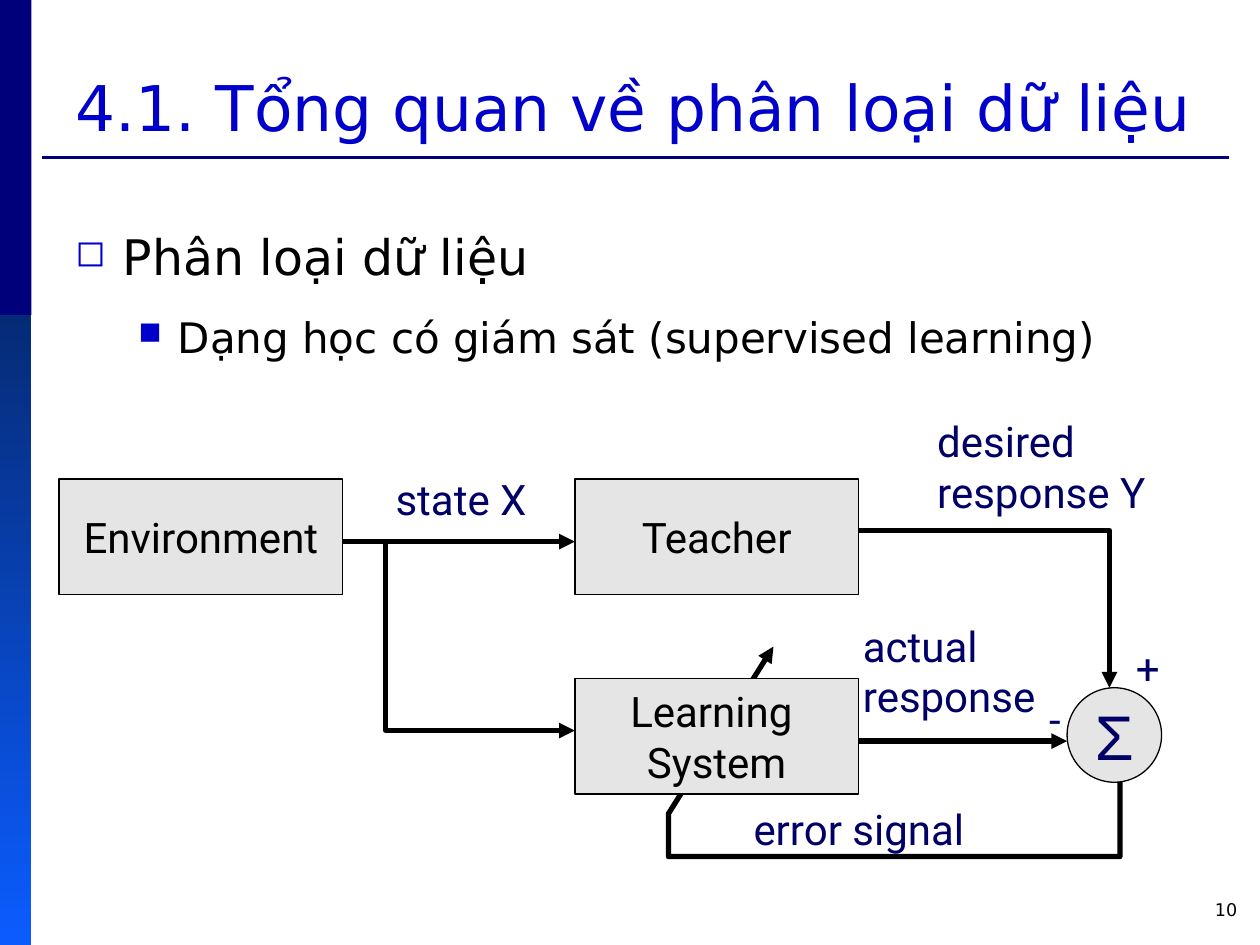
"""Build a slide showing supervised learning as a feedback diagram."""
from lxml import etree
from pptx import Presentation
from pptx.dml.color import RGBColor
from pptx.enum import shapes, text
from pptx.oxml.ns import qn
from pptx.util import Pt

NAVY = RGBColor(0x00, 0x00, 0x7A)
DEEP = RGBColor(0x05, 0x2B, 0x76)
BRIGHT = RGBColor(0x0B, 0x5C, 0xFF)
BLUE = RGBColor(0x00, 0x00, 0xCA)
LABEL = RGBColor(0x00, 0x00, 0x66)
GRAY = RGBColor(0xE5, 0xE5, 0xE5)
BLACK = RGBColor(0, 0, 0)
SANS, ROBOTO, ARIAL = "DejaVu Sans", "Roboto", "Arial"
RECT, OVAL = shapes.MSO_SHAPE.RECTANGLE, shapes.MSO_SHAPE.OVAL
LEFT, CENTER, RIGHT = text.PP_ALIGN.LEFT, text.PP_ALIGN.CENTER, text.PP_ALIGN.RIGHT

TITLE = "4.1. Tổng quan về phân loại dữ liệu"
BULLETS = [
    ("Phân loại dữ liệu", 28, "◻", 27, 27, 0),
    ("Dạng học có giám sát (supervised learning)", 24, "■", 58.5, 22.5, 15),
]
BOX_W, BOX_H = 162, 66
ENV_X, SYSTEM_X, TOP_Y, LOW_Y = 33.75, 328.5, 273.75, 387.75
ENV_R, SYSTEM_R = ENV_X + BOX_W, SYSTEM_X + BOX_W
SUM_X, SUM_Y, SUM_D = 609.75, 393, 54
STATE_Y, ACTUAL_Y, BRANCH_X = 309.5, 423.5, 220.5
NODES = [
    (RECT, ENV_X, TOP_Y, BOX_W, BOX_H, ["Environment"], 24, ROBOTO, BLACK),
    (RECT, SYSTEM_X, TOP_Y, BOX_W, BOX_H, ["Teacher"], 24, ROBOTO, BLACK),
    (RECT, SYSTEM_X, LOW_Y, BOX_W, BOX_H, ["Learning ", "System"], 24, ROBOTO, BLACK),
    (OVAL, SUM_X, SUM_Y, SUM_D, SUM_D, ["Σ"], 36, ARIAL, LABEL),
]
LABELS = [
    (["state X"], 219, 267, 91),
    (["desired", "response Y"], 528.5, 234, 138),
    (["actual", "response"], 486, 351, 118),
    (["error signal"], 423.5, 455.75, 145.5),
    (["+"], 642, 363.75, 28),
    (["-"], 592.5, 393, 22.5),
]
ERROR_PATH = [(640, 447), (640, 489.5), (382, 489.5), (382, 465), (442, 369.5)]
BRANCH_PATH = [(BRANCH_X, STATE_Y), (BRANCH_X, 417.5), (SYSTEM_X, 417.5)]
DESIRED_PATH = [(SYSTEM_R, 303.25), (634, 303.25), (634, SUM_Y)]
STATE_LINE = [(ENV_R, STATE_Y), (SYSTEM_X, STATE_Y)]
ACTUAL_LINE = [(SYSTEM_R, ACTUAL_Y), (SUM_X, ACTUAL_Y)]


def add_run(p, words, size, font, color):
    r = p.add_run()
    r.text = words
    r.font.size, r.font.name = Pt(size), font
    r.font.color.rgb = color


def write(tf, lines, size, font, color, align=LEFT):
    for i, line in enumerate(lines):
        p = tf.add_paragraph() if i else tf.paragraphs[0]
        p.alignment = align
        add_run(p, line, size, font, color)


def add_text(s, lines, x, y, w, h, size, font, color, align=LEFT):
    sp = s.shapes.add_textbox(Pt(x), Pt(y), Pt(w), Pt(h))
    sp.text_frame.word_wrap = False
    write(sp.text_frame, lines, size, font, color, align)


def add_shape(s, kind, x, y, w, h):
    sp = s.shapes.add_shape(kind, Pt(x), Pt(y), Pt(w), Pt(h))
    sp.shadow.inherit = False
    return sp


def style_line(sp, color, width, arrow=False):
    sp.line.color.rgb, sp.line.width = color, Pt(width)
    if arrow:
        ln = sp._element.spPr.find(qn("a:ln"))
        etree.SubElement(ln, qn("a:tailEnd"), type="triangle")


def add_line(s, points, color, width, arrow):
    (x1, y1), (x2, y2) = points
    sp = s.shapes.add_connector(shapes.MSO_CONNECTOR.STRAIGHT, Pt(x1), Pt(y1), Pt(x2), Pt(y2))
    style_line(sp, color, width, arrow)
    etree.SubElement(sp._element.spPr, qn("a:effectLst"))


def add_path(s, points):
    corners = [(Pt(x), Pt(y)) for x, y in points]
    builder = s.shapes.build_freeform(*corners[0])
    builder.add_line_segments(corners[1:], close=False)
    sp = builder.convert_to_shape()
    sp.shadow.inherit = False
    sp.fill.background()
    style_line(sp, BLACK, 3, True)


def add_node(s, kind, x, y, w, h, lines, size, font, color):
    sp = add_shape(s, kind, x, y, w, h)
    sp.fill.solid()
    sp.fill.fore_color.rgb = GRAY
    style_line(sp, BLACK, 0.75)
    tf = sp.text_frame
    tf.word_wrap, tf.vertical_anchor = False, text.MSO_ANCHOR.MIDDLE
    write(tf, lines, size, font, color, CENTER)


def add_frame(s):
    band = add_shape(s, RECT, 0, 0, 18, 180)
    band.fill.solid()
    band.fill.fore_color.rgb = NAVY
    band.line.fill.background()
    add_line(s, [(24, 90), (702, 90)], NAVY, 1.5, False)
    fade = add_shape(s, RECT, 0, 180, 18, 360)
    fade.fill.gradient()
    fade.fill.gradient_angle = 270
    for stop, color in zip(fade.fill.gradient_stops, (DEEP, BRIGHT)):
        stop.color.rgb = color
    fade.line.fill.background()


def add_title(s):
    sp = s.shapes.title
    sp.left, sp.top, sp.width, sp.height = Pt(36), Pt(6), Pt(672), Pt(80)
    tf = sp.text_frame
    tf.auto_size, tf.vertical_anchor = text.MSO_AUTO_SIZE.NONE, text.MSO_ANCHOR.BOTTOM
    write(tf, [TITLE], 36, SANS, BLUE)


def add_bullets(s):
    tf = s.shapes.add_textbox(Pt(36), Pt(126), Pt(666), Pt(384)).text_frame
    tf.word_wrap = True
    for i, (words, size, mark, margin, hang, before) in enumerate(BULLETS):
        p = tf.add_paragraph() if i else tf.paragraphs[0]
        p.level, p.space_before = i, Pt(before)
        pPr = p._p.get_or_add_pPr()
        pPr.set("marL", str(Pt(margin)))
        pPr.set("indent", str(-Pt(hang)))
        color = etree.SubElement(pPr, qn("a:buClr"))
        etree.SubElement(color, qn("a:srgbClr"), val=str(BLUE))
        etree.SubElement(pPr, qn("a:buSzPct"), val="75000")
        etree.SubElement(pPr, qn("a:buChar"), char=mark)
        add_run(p, words, size, SANS, BLACK)


def main():
    prs = Presentation()
    prs.slide_width, prs.slide_height = Pt(720), Pt(540)
    s = prs.slides.add_slide(prs.slide_layouts[5])
    add_frame(s)
    add_title(s)
    add_bullets(s)
    add_text(s, ["10"], 546, 510, 168, 24, 10, SANS, BLACK, RIGHT)
    add_path(s, ERROR_PATH)
    for node in NODES:
        add_node(s, *node)
    for points in (STATE_LINE, ACTUAL_LINE):
        add_line(s, points, BLACK, 3, True)
    for points in (BRANCH_PATH, DESIRED_PATH):
        add_path(s, points)
    for lines, x, y, w in LABELS:
        add_text(s, lines, x, y, w, 7.2 + 29 * len(lines), 24, ROBOTO, LABEL)
    prs.save("out.pptx")


if __name__ == "__main__":
    main()
